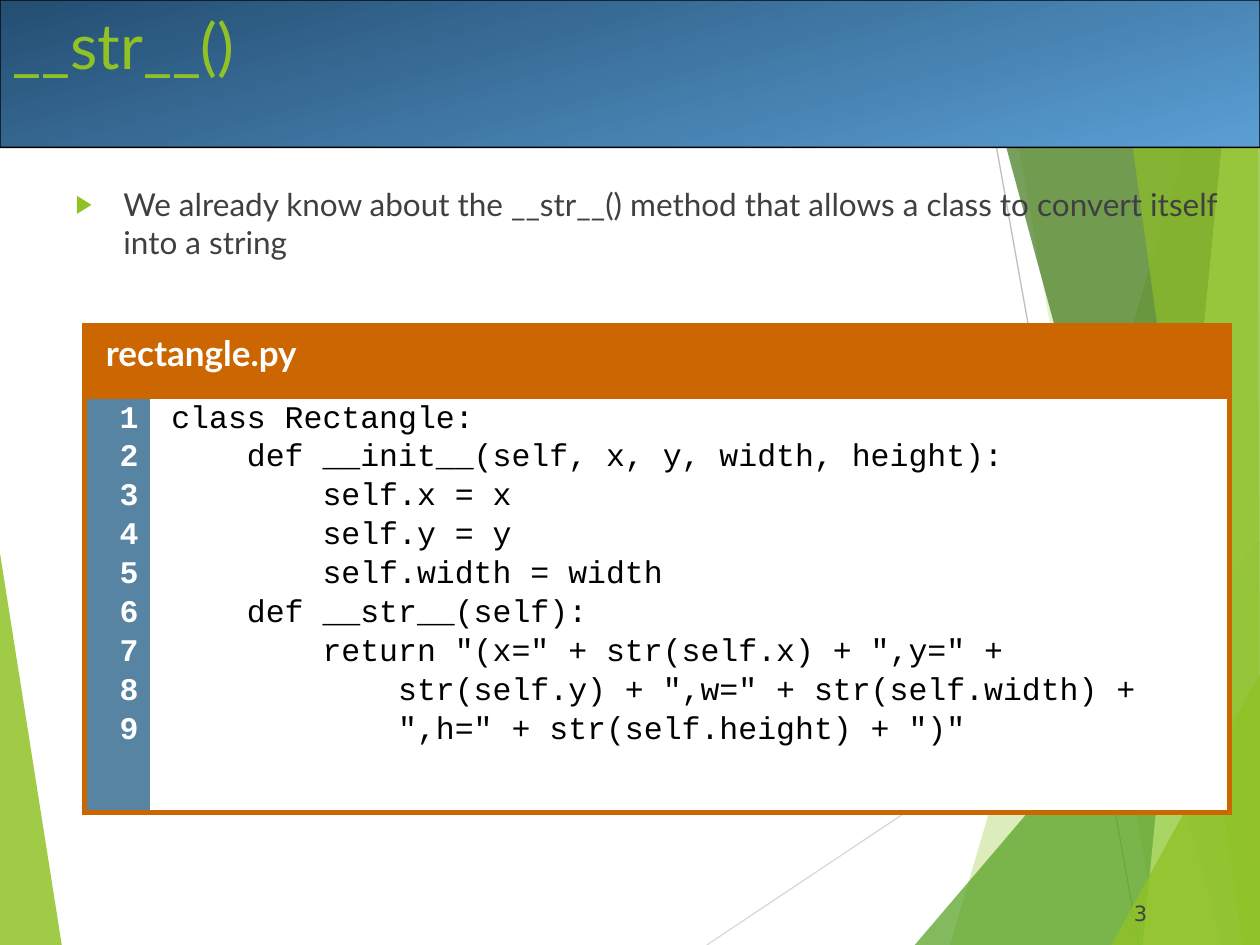
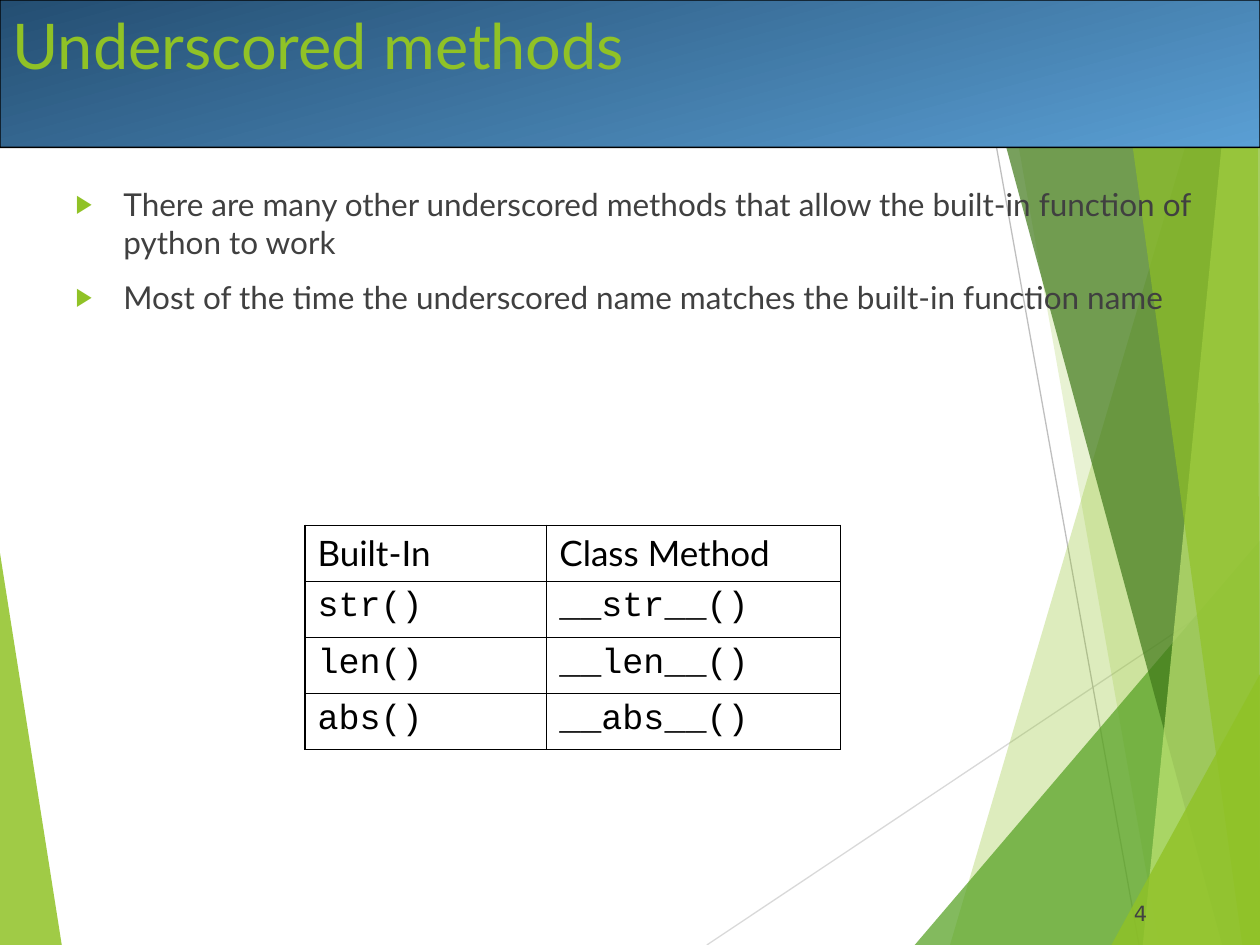
"""Build two slides on underscored methods in Python classes."""
import pptx
import pptx.dml.color
import pptx.enum.dml
import pptx.enum.shapes
import pptx.enum.text
import pptx.oxml.ns
import pptx.util
from lxml import etree

Inches = pptx.util.Inches
Pt = pptx.util.Pt
ALIGN = pptx.enum.text.PP_ALIGN
ANCHOR = pptx.enum.text.MSO_ANCHOR
SHAPE = pptx.enum.shapes.MSO_SHAPE

COLOURS = {
    "lime": "90C226", "green": "54A021", "forest": "3F7819", "pale": "C0E474",
    "light grey": "D9D9D9", "grey": "BFBFBF", "navy": "244E72", "sky": "5A9FD4",
    "body": "404040", "number": "424242", "orange": "CC6600", "gutter": "5784A3",
    "black": "000000", "white": "FFFFFF",
}
SANS, MONO, NUMBER_FONT = "Lato", "Courier New", "DejaVu Sans"

SLIDES = [
    {
        "title": "__str__()",
        "number": "3",
        "body_height": 5.42,
        "bullets": [
            "We already know about the __str__() method that allows a class "
            "to convert itself into a string",
        ],
        "listing": {
            "file": "rectangle.py",
            "code": [
                'class Rectangle:',
                '    def __init__(self, x, y, width, height):',
                '        self.x = x',
                '        self.y = y',
                '        self.width = width',
                '    def __str__(self):',
                '        return "(x=" + str(self.x) + ",y=" +',
                '            str(self.y) + ",w=" + str(self.width) +',
                '            ",h=" + str(self.height) + ")"',
            ],
        },
    },
    {
        "title": "Underscored methods",
        "number": "4",
        "body_height": 2.17,
        "bullets": [
            "There are many other underscored methods that allow the built-in "
            "function of python to work",
            "Most of the time the underscored name matches the built-in function name",
        ],
        "methods": [
            ("Built-In", "Class Method"),
            ("str()", "__str__()"),
            ("len()", "__len__()"),
            ("abs()", "__abs__()"),
        ],
    },
]

# colour, opacity in percent, corners; two corners make a thin line
BACKDROP = [
    ("lime", 85, [(0, 4.39), (0.49, 7.5), (0, 7.5)]),
    ("light grey", 100, [(5.61, 7.5), (10, 4.57)]),
    ("grey", 100, [(7.7, 0), (9.04, 7.5)]),
    ("lime", 30, [(9.75, 0), (7.54, 7.5), (10, 7.5), (10, 0)]),
    ("lime", 20, [(7.88, 0), (9.2, 7.5), (10, 7.5), (10, 0)]),
    ("green", 72, [(7.26, 7.5), (10, 4.29), (10, 7.5)]),
    ("forest", 70, [(7.67, 0), (9.7, 7.5), (10, 7.5), (10, 0)]),
    ("pale", 70, [(9.81, 0), (9.07, 7.5), (10, 7.5), (10, 0)]),
    ("lime", 65, [(8.83, 0), (9.86, 7.5), (10, 7.5), (9.98, 0)]),
    ("lime", 80, [(8.82, 7.5), (10, 5.35), (10, 7.5)]),
]


def rgb(colour):
    return pptx.dml.color.RGBColor.from_string(COLOURS[colour])


def add_xml(parent, tag, **attributes):
    return etree.SubElement(parent, pptx.oxml.ns.qn(tag), attributes)


def write(frame, lines, *, size, font, colour, bold=False, align=ALIGN.LEFT,
          before=0, spacing=1.0, indent=0, bullet=None):
    """Fill a text frame with one paragraph per line."""
    frame.word_wrap = True
    for index, line in enumerate(lines):
        paragraph = frame.add_paragraph() if index else frame.paragraphs[0]
        paragraph.alignment = align
        paragraph.line_spacing = spacing
        paragraph.space_before = Pt(before if index else 0)
        properties = paragraph._p.get_or_add_pPr()
        properties.set("marL", str(Inches(indent)))
        properties.set("indent", str(Inches(-indent if bullet else 0)))
        if bullet:
            tint = add_xml(properties, "a:buClr")
            add_xml(tint, "a:srgbClr", val=COLOURS["lime"])
            add_xml(properties, "a:buSzPct", val="80000")
            add_xml(properties, "a:buChar", char=bullet)
        run = paragraph.add_run()
        run.text = line
        run.font.size = Pt(size)
        run.font.name = font
        run.font.bold = bold
        run.font.color.rgb = rgb(colour)


def place(shape, left, top, width, height):
    shape.left, shape.top = Inches(left), Inches(top)
    shape.width, shape.height = Inches(width), Inches(height)


def draw_backdrop(slide):
    for colour, opacity, corners in BACKDROP:
        points = [(Inches(x), Inches(y)) for x, y in corners]
        if len(points) == 2:
            ray = slide.shapes.add_connector(
                pptx.enum.shapes.MSO_CONNECTOR.STRAIGHT, *points[0], *points[1])
            ray.line.color.rgb = rgb(colour)
            ray.line.width = Pt(0.75)
            add_xml(ray._element.spPr, "a:effectLst")
            continue
        builder = slide.shapes.build_freeform(*points[0], scale=1.0)
        builder.add_line_segments(points[1:], close=True)
        facet = builder.convert_to_shape()
        facet.shadow.inherit = False
        facet.line.fill.background()
        facet.fill.solid()
        facet.fill.fore_color.rgb = rgb(colour)
        tint = facet._element.spPr.find(".//" + pptx.oxml.ns.qn("a:srgbClr"))
        add_xml(tint, "a:alpha", val=str(opacity * 1000))


def draw_band(slide):
    band = slide.shapes.add_shape(
        SHAPE.ROUNDED_RECTANGLE, 0, 0, Inches(10), Inches(1.17))
    band.adjustments[0] = 0.001
    band.shadow.inherit = False
    band.line.color.rgb = rgb("black")
    band.line.width = Pt(0.75)
    band.fill.gradient()
    band.fill.gradient_angle = 285
    for stop, colour, position in zip(band.fill.gradient_stops, ("navy", "sky"), (0, 1)):
        stop.color.rgb = rgb(colour)
        stop.position = position


def draw_number(slide, number):
    corner = slide.shapes.add_textbox(
        Inches(9), Inches(6.95), Inches(0.83), Inches(0.4))
    frame = corner.text_frame
    frame.margin_left = frame.margin_right = frame.margin_top = frame.margin_bottom = 0
    frame.vertical_anchor = ANCHOR.BOTTOM
    write(frame, [number], size=12, font=NUMBER_FONT, colour="number")


def fill_placeholder(holder, box, lines, **text_format):
    place(holder, *box)
    holder.text_frame.vertical_anchor = ANCHOR.TOP
    holder.text_frame.auto_size = pptx.enum.text.MSO_AUTO_SIZE.NONE
    write(holder.text_frame, lines, **text_format)
    holder._element.getparent().append(holder._element)


def add_grid(slide, left, top, widths, heights):
    grid = slide.shapes.add_table(
        len(heights), len(widths), Inches(left), Inches(top),
        Inches(sum(widths)), Inches(sum(heights))).table
    grid.first_row = grid.horz_banding = False
    for column, width in zip(grid.columns, widths):
        column.width = Inches(width)
    for row, height in zip(grid.rows, heights):
        row.height = Inches(height)
    return grid


def style_cell(cell, colour, borders, *, fill=None, left=0.05, right=0.05):
    """Set borders (points by side letter, 0 for none), fill and margins."""
    properties = cell._tc.get_or_add_tcPr()
    for side in "LRTB":
        width = borders[side]
        edge = add_xml(properties, "a:ln" + side, w=str(Pt(width)))
        if width:
            solid = add_xml(edge, "a:solidFill")
            add_xml(solid, "a:srgbClr", val=COLOURS[colour])
        else:
            add_xml(edge, "a:noFill")
    if fill:
        cell.fill.solid()
        cell.fill.fore_color.rgb = rgb(fill)
    else:
        cell.fill.background()
    cell.margin_left, cell.margin_right = Inches(left), Inches(right)
    cell.margin_top = cell.margin_bottom = Inches(0.05)


def draw_listing(slide, file, code):
    grid = add_grid(slide, 0.67, 2.58, [0.52, 8.57], [0.57, 3.3])
    header, gutter, source = grid.cell(0, 0), grid.cell(1, 0), grid.cell(1, 1)
    header.merge(grid.cell(0, 1))
    frame = dict.fromkeys("LRTB", 3)
    for cell in (header, grid.cell(0, 1)):
        style_cell(cell, "orange", frame, fill="orange")
    style_cell(gutter, "orange", {**frame, "R": 0}, fill="gutter", right=0.09)
    style_cell(source, "orange", {**frame, "L": 0}, fill="white", right=0.18)
    write(header.text_frame, [file], size=20, font=SANS, colour="white",
          bold=True, indent=0.12)
    code_format = dict(size=18, font=MONO, before=4.5, spacing=0.87, indent=0.12)
    numbers = [str(number) for number in range(1, len(code) + 1)]
    write(gutter.text_frame, numbers, colour="white", bold=True,
          align=ALIGN.RIGHT, **code_format)
    write(source.text_frame, code, colour="black", **code_format)


def draw_methods(slide, methods):
    outer, inner = 1.08, 0.45
    grid = add_grid(slide, 2.42, 4.17, [1.92, 2.33], [0.445] * len(methods))
    last = len(methods) - 1
    for row, names in enumerate(methods):
        for column, name in enumerate(names):
            cell = grid.cell(row, column)
            borders = {"L": inner if column else outer, "R": inner,
                       "T": inner if row else outer,
                       "B": outer if row == last else inner}
            style_cell(cell, "black", borders, left=0.06, right=0.06)
            write(cell.text_frame, [name], size=20, font=MONO if row else SANS,
                  colour="black", indent=0.04)


def main():
    deck = pptx.Presentation()
    deck.slide_width, deck.slide_height = Inches(10), Inches(7.5)
    for content in SLIDES:
        slide = deck.slides.add_slide(deck.slide_layouts[1])
        draw_backdrop(slide)
        draw_band(slide)
        draw_number(slide, content["number"])
        fill_placeholder(slide.shapes.title, (0, 0, 9, 1.25), [content["title"]],
                         size=36, font=SANS, colour="lime")
        fill_placeholder(slide.placeholders[1], (0.5, 1.42, 9.5, content["body_height"]),
                         content["bullets"], size=18, font=SANS, colour="body",
                         before=10, indent=0.38, bullet="▶")
        if "listing" in content:
            draw_listing(slide, **content["listing"])
        if "methods" in content:
            draw_methods(slide, content["methods"])
    deck.save("out.pptx")


if __name__ == "__main__":
    main()
